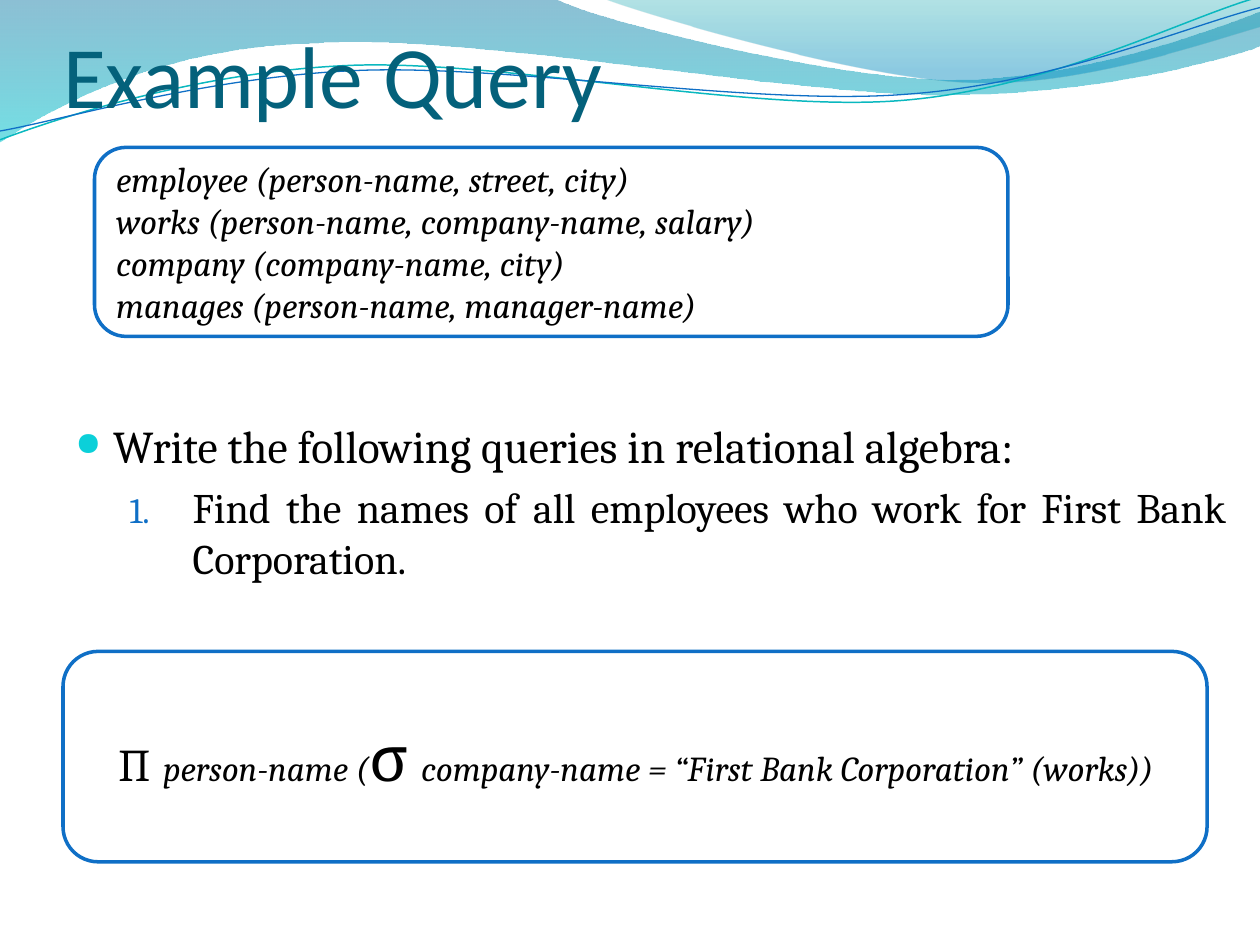
from dataclasses import dataclass
from pptx import Presentation
from pptx.dml.color import RGBColor
from pptx.enum.shapes import MSO_SHAPE as Preset
from pptx.enum.text import MSO_ANCHOR as Anchor, MSO_AUTO_SIZE as AutoSize, PP_ALIGN as Align
from pptx.oxml.ns import qn
from pptx.util import Inches, Pt
from lxml.etree import SubElement


@dataclass(frozen=True)
class Theme:
    heading_font: str = "Calibri"
    body_font: str = "Cambria"
    heading: str = "04617B"
    text: str = "000000"
    panel: str = "FFFFFF"
    blue: str = "0F6FC6"
    teal: str = "0AB8BF"
    bullet: str = "0BD0D9"
    lower_wave: tuple = ((0, "0074A1", 45), (1, "00C6CF", 55))
    upper_wave: tuple = ((0, "00A1A9", 30), (0.8, "008BBF", 45))
    title_size: int = 50
    sigma_size: int = 36
    body_size: int = 26
    item_size: int = 24
    schema_size: int = 20


class SlideBuilder:
    def __init__(self, slide, theme):
        self.slide = slide
        self.theme = theme

    def style_run(self, run, size, italic=False, font=None, color=None):
        run.font.name = font or self.theme.body_font
        run.font.size = Pt(size)
        run.font.italic = italic
        run.font.color.rgb = RGBColor.from_string(color or self.theme.text)

    def outline(self, start, segments, closed):
        builder = self.slide.shapes.build_freeform(Inches(start[0]), Inches(start[1]))
        for segment in segments:
            places = zip(segment[::2], segment[1::2])
            builder.add_line_segments([(Inches(x), Inches(y)) for x, y in places], close=False)
        if closed:
            builder.add_line_segments([], close=True)
        shape = builder.convert_to_shape()
        shape.shadow.inherit = False
        nodes = iter(list(shape.element.iter(qn("a:lnTo"))))
        for segment in segments:
            first = next(nodes)
            if len(segment) == 6:
                curve = first.makeelement(qn("a:cubicBezTo"))
                first.addprevious(curve)
                for node in (first, next(nodes), next(nodes)):
                    curve.append(node[0])
                    node.getparent().remove(node)
        return shape

    def wave(self, start, segments, stops):
        shape = self.outline(start, segments, True)
        shape.line.fill.background()
        shape.fill.gradient()
        shape.fill.gradient_angle = 270
        for stop, (position, color, _) in zip(shape.fill.gradient_stops, stops):
            stop.position = position
            stop.color.rgb = RGBColor.from_string(color)
        for node, (_, _, opacity) in zip(shape.element.iter(qn("a:gs")), stops):
            SubElement(node[0], qn("a:alpha"), val=str(opacity * 1000))

    def strand(self, start, segments, color, width):
        shape = self.outline(start, segments, False)
        shape.fill.background()
        shape.line.color.rgb = RGBColor.from_string(color)
        shape.line.width = Pt(width)

    def title(self, text, left, top, width, height):
        shape = self.slide.shapes.title
        self.slide.shapes.element.append(shape.element)
        shape.left, shape.top = Inches(left), Inches(top)
        shape.width, shape.height = Inches(width), Inches(height)
        frame = shape.text_frame
        frame.text = text
        frame.auto_size = AutoSize.NONE
        frame.vertical_anchor = Anchor.BOTTOM
        frame.margin_left = frame.margin_right = frame.margin_bottom = 0
        paragraph = frame.paragraphs[0]
        paragraph.alignment = Align.LEFT
        theme = self.theme
        self.style_run(paragraph.runs[0], theme.title_size, font=theme.heading_font, color=theme.heading)

    def panel(self, lines, left, top, width, height, alignment):
        shape = self.slide.shapes.add_shape(
            Preset.ROUNDED_RECTANGLE, Inches(left), Inches(top), Inches(width), Inches(height))
        shape.shadow.inherit = False
        shape.fill.solid()
        shape.fill.fore_color.rgb = RGBColor.from_string(self.theme.panel)
        shape.line.color.rgb = RGBColor.from_string(self.theme.blue)
        shape.line.width = Pt(2)
        frame = shape.text_frame
        frame.word_wrap = True
        frame.vertical_anchor = Anchor.MIDDLE
        for index, line in enumerate(lines):
            paragraph = frame.add_paragraph() if index else frame.paragraphs[0]
            paragraph.alignment = alignment
            for text, size, italic in line:
                run = paragraph.add_run()
                run.text = text
                self.style_run(run, size, italic)

    def marker(self, paragraph, indent, hanging, color, percent, tag, **attributes):
        properties = paragraph._p.get_or_add_pPr()
        properties.set("marL", str(Inches(indent)))
        properties.set("indent", str(-Inches(hanging)))
        SubElement(SubElement(properties, qn("a:buClr")), qn("a:srgbClr"), val=color)
        SubElement(properties, qn("a:buSzPct"), val=str(percent * 1000))
        SubElement(properties, qn(tag), **attributes)

    def task(self, prompt, question, left, top, width, height, inset):
        theme = self.theme
        frame = self.slide.shapes.add_textbox(
            Inches(left), Inches(top), Inches(width), Inches(height)).text_frame
        frame.word_wrap = True
        frame.margin_top = Inches(inset)
        heading, item = frame.paragraphs[0], frame.add_paragraph()
        item.level = 1
        item.space_before = Pt(5)
        for paragraph, text, size in ((heading, prompt, theme.body_size), (item, question, theme.item_size)):
            paragraph.text = text
            paragraph.alignment = Align.JUSTIFY
            self.style_run(paragraph.runs[0], size)
        self.marker(heading, 0.3, 0.3, theme.bullet, 72, "a:buChar", char="●")
        self.marker(item, 0.93, 0.5, theme.blue, 85, "a:buAutoNum", type="arabicPeriod")


def main():
    presentation = Presentation()
    presentation.slide_width, presentation.slide_height = Inches(10), Inches(7.5)
    theme = Theme()
    builder = SlideBuilder(presentation.slides.add_slide(presentation.slide_layouts[5]), theme)

    builder.wave((0, 0), [
        (4.4, -0.01),
        (4.76, 0.17, 6.64, 0.63, 7.58, 0.63),
        (8.53, 0.63, 9.58, 0.26, 10, 0.09),
        (10.01, 0.36),
        (9.83, 0.44, 8.7, 0.76, 7.46, 0.75),
        (6.22, 0.75, 3.82, 0.28, 2.57, 0.34),
        (1.29, 0.36, 0.46, 0.83, -0.01, 1.13)], theme.lower_wave)
    builder.wave((4.79, -0.01), [
        (5.09, 0.11, 6.82, 0.62, 7.69, 0.65),
        (8.56, 0.69, 9.61, 0.32, 10, 0.21),
        (10, 0)], theme.upper_wave)
    builder.strand((0, 1.11), [
        (0.48, 0.93, 1.58, 0.57, 2.77, 0.52),
        (3.95, 0.47, 5.93, 0.89, 7.13, 0.8),
        (8.33, 0.71, 9.38, 0.15, 9.98, -0.02)], theme.teal, 0.85)
    builder.strand((0, 1.04), [
        (0.47, 0.96, 1.64, 0.61, 2.83, 0.56),
        (4.03, 0.51, 5.97, 0.84, 7.17, 0.75),
        (8.36, 0.67, 9.41, 0.21, 10, 0.06)], theme.blue, 0.75)

    builder.title("Example Query", 0.5, -0.25, 9, 1.25)
    builder.task(
        "Write the following queries in relational algebra:",
        "Find the names of all employees who work for First Bank Corporation.",
        0.5, 1.25, 9.33, 6.25, 2.07)
    relations = (
        "employee (person-name, street, city)",
        "works (person-name, company-name, salary)",
        "company (company-name, city)",
        "manages (person-name, manager-name)",
    )
    builder.panel([[(relation, theme.schema_size, True)] for relation in relations],
                  0.75, 1.17, 7.25, 1.5, Align.LEFT)
    answer = [
        ("∏ ", theme.body_size, False),
        ("person-name (", theme.schema_size, True),
        ("σ ", theme.sigma_size, False),
        ("company-name = “First Bank Corporation” (works))", theme.schema_size, True),
    ]
    builder.panel([answer], 0.5, 5.17, 9.08, 1.67, Align.CENTER)
    presentation.save("out.pptx")


if __name__ == "__main__":
    main()
